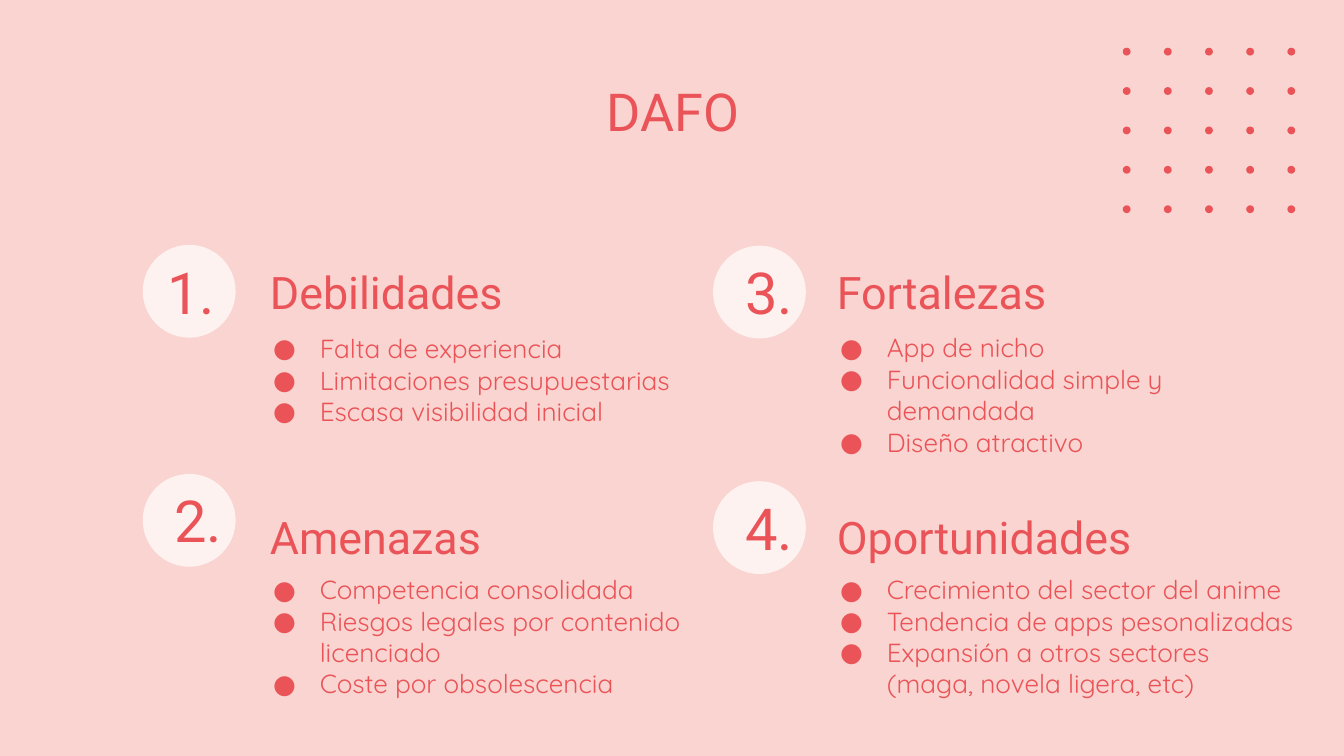
"""Build a SWOT slide with four numbered blocks and a dot grid."""
from itertools import product

from lxml.etree import SubElement
from pptx import Presentation
from pptx.dml.color import RGBColor
from pptx.enum.shapes import MSO_SHAPE
from pptx.enum.text import MSO_ANCHOR, PP_ALIGN
from pptx.oxml.ns import qn
from pptx.util import Pt

THEME = {
    "background": RGBColor.from_string("F9D4D0"),
    "accent": RGBColor.from_string("EA5458"),
    "circle": RGBColor.from_string("FEF2F0"),
    "heading_font": "Roboto",
    "body_font": "Quicksand",
    "title_size": 28,
    "number_size": 31,
    "heading_size": 24,
    "body_size": 14,
}

TITLE = "DAFO"
TITLE_BOX = (56.9, 35.3, 607, 45.4)
BLOCKS = [
    {"number": "1.", "heading": "Debilidades",
     "items": ["Falta de experiencia", "Limitaciones presupuestarias",
               "Escasa visibilidad inicial"],
     "circle": (76.5, 131.2), "number_box": (62.6, 136.1, 59.8, 40.3),
     "heading_at": (137.5, 136.1), "list_box": (128.2, 180.7, 244.1, 45.4)},
    {"number": "2.", "heading": "Amenazas",
     "items": ["Competencia consolidada", "Riesgos legales por contenido licenciado",
               "Coste por obsolescencia"],
     "circle": (76.5, 253.9), "number_box": (62.6, 249.1, 63.4, 58.3),
     "heading_at": (137.5, 267.1), "list_box": (128.2, 322.6, 244.1, 36.7)},
    {"number": "3.", "heading": "Fortalezas",
     "items": ["App de nicho", "Funcionalidad simple y demandada", "Diseño atractivo"],
     "circle": (382, 131.6), "number_box": (367.2, 136.1, 64.8, 40.3),
     "heading_at": (441.2, 136.1), "list_box": (432, 193, 244.1, 36.7)},
    {"number": "4.", "heading": "Oportunidades",
     "items": ["Crecimiento del sector del anime", "Tendencia de apps pesonalizadas",
               "Expansión a otros sectores (maga, novela ligera, etc)"],
     "circle": (382, 257.8), "number_box": (367.2, 257.8, 64.8, 49.7),
     "heading_at": (441.2, 267.1), "list_box": (432, 322.6, 272.9, 36.7)},
]
CIRCLE_SIZE = 49.7
HEADING_SIZE = (215, 40.3)
DOT_GRID = {"left": 601.5, "top": 25.6, "step_x": 22.05, "step_y": 21.1, "size": 4.2, "count": 5}


def place(shape, box):
    """Move and size a shape in points."""
    shape.left, shape.top, shape.width, shape.height = map(Pt, box)


def add_bullet(paragraph):
    """Give a paragraph a round bullet with a hanging indent."""
    properties = paragraph._p.get_or_add_pPr()
    properties.set("marL", str(Pt(36)))
    properties.set("indent", str(-Pt(25)))
    color = SubElement(properties, qn("a:buClr"))
    SubElement(color, qn("a:srgbClr"), val=str(THEME["accent"]))
    SubElement(properties, qn("a:buFont"), typeface=THEME["body_font"])
    SubElement(properties, qn("a:buChar"), char="●")


def write_text(shape, lines, *, size, font=THEME["heading_font"], align=PP_ALIGN.LEFT,
               anchor=MSO_ANCHOR.MIDDLE, bullets=False):
    """Fill a shape with formatted paragraphs."""
    frame = shape.text_frame
    frame.word_wrap = True
    frame.vertical_anchor = anchor
    frame.margin_left = frame.margin_right = frame.margin_top = frame.margin_bottom = Pt(7.2)
    frame.text = "\n".join(lines)
    for paragraph in frame.paragraphs:
        paragraph.alignment = align
        paragraph.line_spacing = 1.0
        paragraph.space_before = paragraph.space_after = Pt(0)
        if bullets:
            add_bullet(paragraph)
        for run in paragraph.runs:
            run.font.size = Pt(size)
            run.font.name = font
            run.font.color.rgb = THEME["accent"]


def add_circle(shapes, left, top, size, color):
    """Add a plain filled circle."""
    circle = shapes.add_shape(MSO_SHAPE.OVAL, *map(Pt, (left, top, size, size)))
    circle.shadow.inherit = False
    circle.fill.solid()
    circle.fill.fore_color.rgb = color
    circle.line.fill.background()


def add_text(slide, box, lines, **text_format):
    """Add a text box and fill it."""
    write_text(slide.shapes.add_textbox(*map(Pt, box)), lines, **text_format)


def add_dot_grid(slide):
    """Add the grouped square grid of dots."""
    group = slide.shapes.add_group_shape()
    for column, row in product(range(DOT_GRID["count"]), repeat=2):
        add_circle(group.shapes, DOT_GRID["left"] + column * DOT_GRID["step_x"],
                   DOT_GRID["top"] + row * DOT_GRID["step_y"], DOT_GRID["size"], THEME["accent"])


def add_block(slide, block):
    """Add one numbered block with its heading and list."""
    add_circle(slide.shapes, *block["circle"], CIRCLE_SIZE, THEME["circle"])
    add_text(slide, block["number_box"], [block["number"]],
             size=THEME["number_size"], align=PP_ALIGN.RIGHT)
    add_text(slide, block["heading_at"] + HEADING_SIZE, [block["heading"]],
             size=THEME["heading_size"])
    add_text(slide, block["list_box"], block["items"], size=THEME["body_size"],
             font=THEME["body_font"], bullets=True)


def main():
    """Build and save the presentation."""
    presentation = Presentation()
    presentation.slide_width, presentation.slide_height = Pt(720), Pt(405)
    slide = presentation.slides.add_slide(presentation.slide_layouts[5])
    slide.background.fill.solid()
    slide.background.fill.fore_color.rgb = THEME["background"]
    place(slide.shapes.title, TITLE_BOX)
    write_text(slide.shapes.title, [TITLE], size=THEME["title_size"],
               align=PP_ALIGN.CENTER, anchor=MSO_ANCHOR.TOP)
    add_dot_grid(slide)
    for block in BLOCKS:
        add_block(slide, block)
    presentation.save("out.pptx")


if __name__ == "__main__":
    main()
